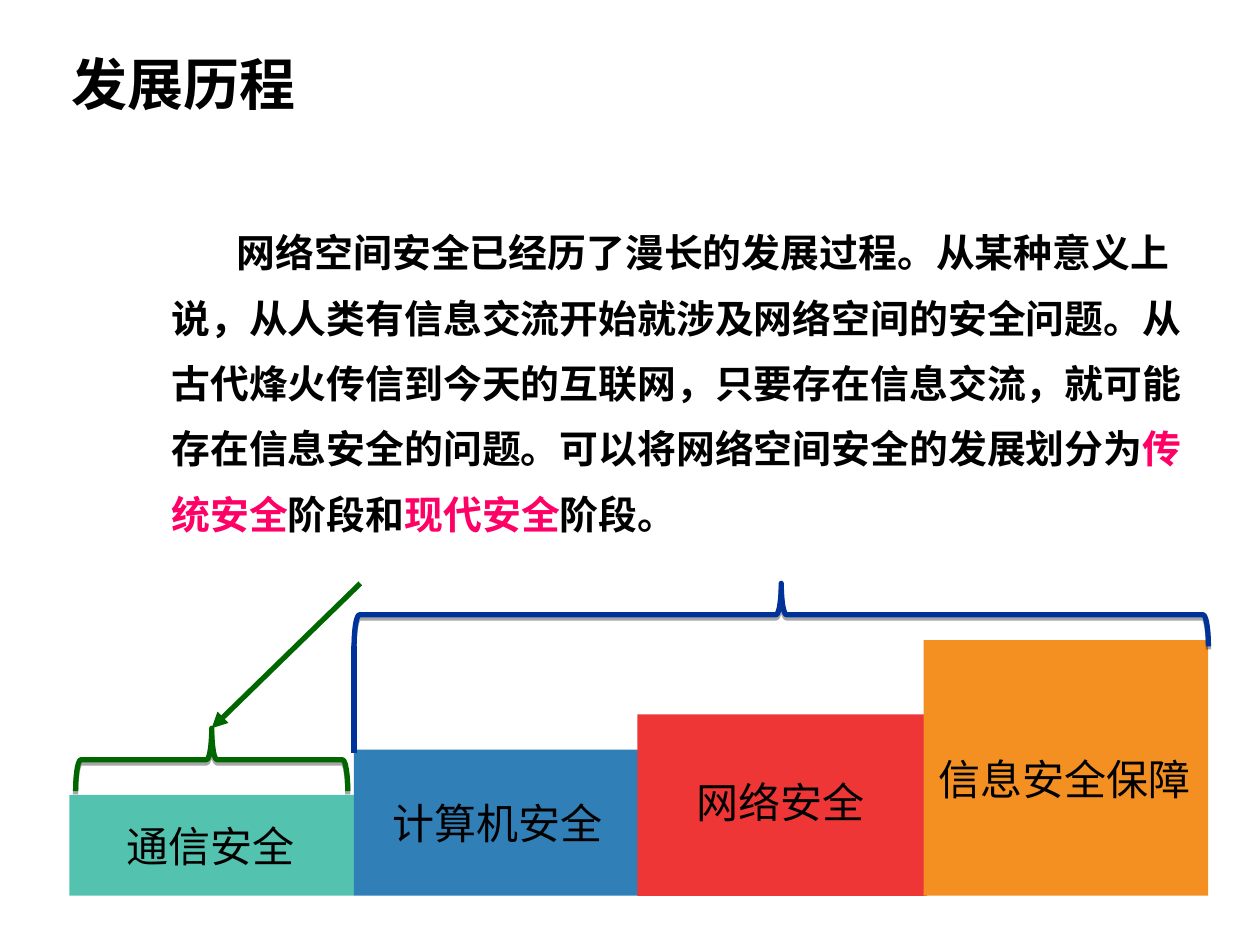
import pptx
import pptx.util
import pptx.oxml
import pptx.dml.color
import pptx.enum.shapes
import pptx.enum.text
from lxml import etree
from pptx.oxml.ns import nsdecls, qn

Inches, Pt = pptx.util.Inches, pptx.util.Pt
RGBColor = pptx.dml.color.RGBColor
MSO_SHAPE = pptx.enum.shapes.MSO_SHAPE
PP_ALIGN = pptx.enum.text.PP_ALIGN
MSO_ANCHOR = pptx.enum.text.MSO_ANCHOR

CJK_FONT = "Noto Sans CJK SC"
BLACK = RGBColor(0x00, 0x00, 0x00)
PINK = RGBColor(0xFF, 0x00, 0x66)
GREEN = RGBColor(0x00, 0x66, 0x00)
NAVY = RGBColor(0x00, 0x33, 0x99)
TEAL = RGBColor(0x53, 0xC3, 0xB0)
BLUE = RGBColor(0x31, 0x7F, 0xB7)
RED = RGBColor(0xEE, 0x36, 0x36)
ORANGE = RGBColor(0xF4, 0x90, 0x22)

TITLE = "发展历程"
BODY = [
    ("网络空间安全已经历了漫长的发展过程。从某种意义上说，从人类有信息交流开始就涉及"
     "网络空间的安全问题。从古代烽火传信到今天的互联网，只要存在信息交流，就可能存在"
     "信息安全的问题。可以将网络空间安全的发展划分为", BLACK),
    ("传统安全", PINK),
    ("阶段和", BLACK),
    ("现代安全", PINK),
    ("阶段。", BLACK),
]
# label, colour, step left, top, width, label left, top, width
STEPS = [
    ("通信安全", TEAL, 0.55, 6.31, 2.26, 0.91, 6.46, 1.54),
    ("计算机安全", BLUE, 2.81, 5.95, 2.26, 3.02, 6.28, 2.03),
    ("网络安全", RED, 5.06, 5.67, 2.3, 5.43, 6.11, 1.65),
    ("信息安全保障", ORANGE, 7.33, 5.08, 2.26, 7.35, 5.93, 2.28),
]
STEPS_BOTTOM = 7.11
LABEL_HEIGHT = 0.5
BRACE_DEPTH = 0.5
# left, top, span, colour
BRACES = [(0.6, 5.78, 2.16, GREEN), (2.81, 4.63, 6.78, NAVY)]
# start, end, colour, has arrowhead
LINES = [
    ((2.81, 5.13), (2.81, 5.98), NAVY, False),
    ((2.86, 4.63), (1.68, 5.78), GREEN, True),
]


def place(shape, left, top, width, height):
    shape.left, shape.top = Inches(left), Inches(top)
    shape.width, shape.height = Inches(width), Inches(height)


def format_run(run, size, color=BLACK, bold=False, name=CJK_FONT):
    run.font.size = Pt(size)
    run.font.bold = bold
    run.font.name = name
    run.font.color.rgb = color
    east_asian = etree.SubElement(run.font._element, qn("a:ea"))
    east_asian.set("typeface", CJK_FONT)


def add_title(slide):
    title = slide.shapes.title
    place(title, 0.47, 0.14, 4.36, 1.04)
    title.text_frame.text = TITLE
    title.text_frame.vertical_anchor = MSO_ANCHOR.MIDDLE
    paragraph = title.text_frame.paragraphs[0]
    paragraph.alignment = PP_ALIGN.LEFT
    format_run(paragraph.runs[0], 32, bold=True)


def add_body(slide):
    body = slide.placeholders[1]
    place(body, 0.88, 1.62, 8.75, 3.15)
    paragraph = body.text_frame.paragraphs[0]
    properties = paragraph._p.get_or_add_pPr()
    properties.set("marL", str(Inches(0.38)))
    properties.set("indent", str(Inches(0.52)))
    etree.SubElement(properties, qn("a:buNone"))
    paragraph.line_spacing = 1.4
    paragraph.space_before = Pt(0)
    for text, color in BODY:
        run = paragraph.add_run()
        run.text = text
        format_run(run, 22.2, color, bold=True, name="Arial")


def add_step(slide, label, color, left, top, width, label_left, label_top, label_width):
    step = slide.shapes.add_shape(
        MSO_SHAPE.RECTANGLE, Inches(left), Inches(top),
        Inches(width), Inches(STEPS_BOTTOM - top))
    step.shadow.inherit = False
    step.fill.solid()
    step.fill.fore_color.rgb = color
    step.line.fill.background()
    box = slide.shapes.add_textbox(
        Inches(label_left), Inches(label_top), Inches(label_width), Inches(LABEL_HEIGHT))
    box.text_frame.word_wrap = True
    box.text_frame.text = label
    format_run(box.text_frame.paragraphs[0].runs[0], 24)


def add_brace(slide, left, top, span, color):
    """Add a brace over a horizontal span: a left brace turned a quarter."""
    center_x, center_y = left + span / 2, top + BRACE_DEPTH / 2
    brace = slide.shapes.add_shape(
        MSO_SHAPE.LEFT_BRACE, Inches(center_x - BRACE_DEPTH / 2),
        Inches(center_y - span / 2), Inches(BRACE_DEPTH), Inches(span))
    brace.rotation = 90
    brace.fill.background()
    brace.line.color.rgb = color
    brace.line.width = Pt(3)
    brace._element.spPr.append(pptx.oxml.parse_xml(
        f'<a:effectLst {nsdecls("a")}>'
        f'<a:outerShdw dist="{Pt(1.8)}" dir="5400000" rotWithShape="0">'
        '<a:srgbClr val="000000"><a:alpha val="35000"/></a:srgbClr>'
        '</a:outerShdw></a:effectLst>'))


def add_line(slide, start, end, color, has_arrowhead):
    line = slide.shapes.add_connector(
        pptx.enum.shapes.MSO_CONNECTOR.STRAIGHT,
        *(Inches(value) for value in start + end))
    line.line.color.rgb = color
    line.line.width = Pt(3)
    if has_arrowhead:
        tail = etree.SubElement(line.line._get_or_add_ln(), qn("a:tailEnd"))
        tail.set("type", "triangle")
    etree.SubElement(line._element.spPr, qn("a:effectLst"))


def main():
    presentation = pptx.Presentation()
    presentation.slide_width, presentation.slide_height = Inches(10), Inches(7.5)
    slide = presentation.slides.add_slide(presentation.slide_layouts[1])
    add_title(slide)
    add_body(slide)
    for step in STEPS:
        add_step(slide, *step)
    for brace in BRACES:
        add_brace(slide, *brace)
    for line in LINES:
        add_line(slide, *line)
    presentation.save("out.pptx")


if __name__ == "__main__":
    main()
